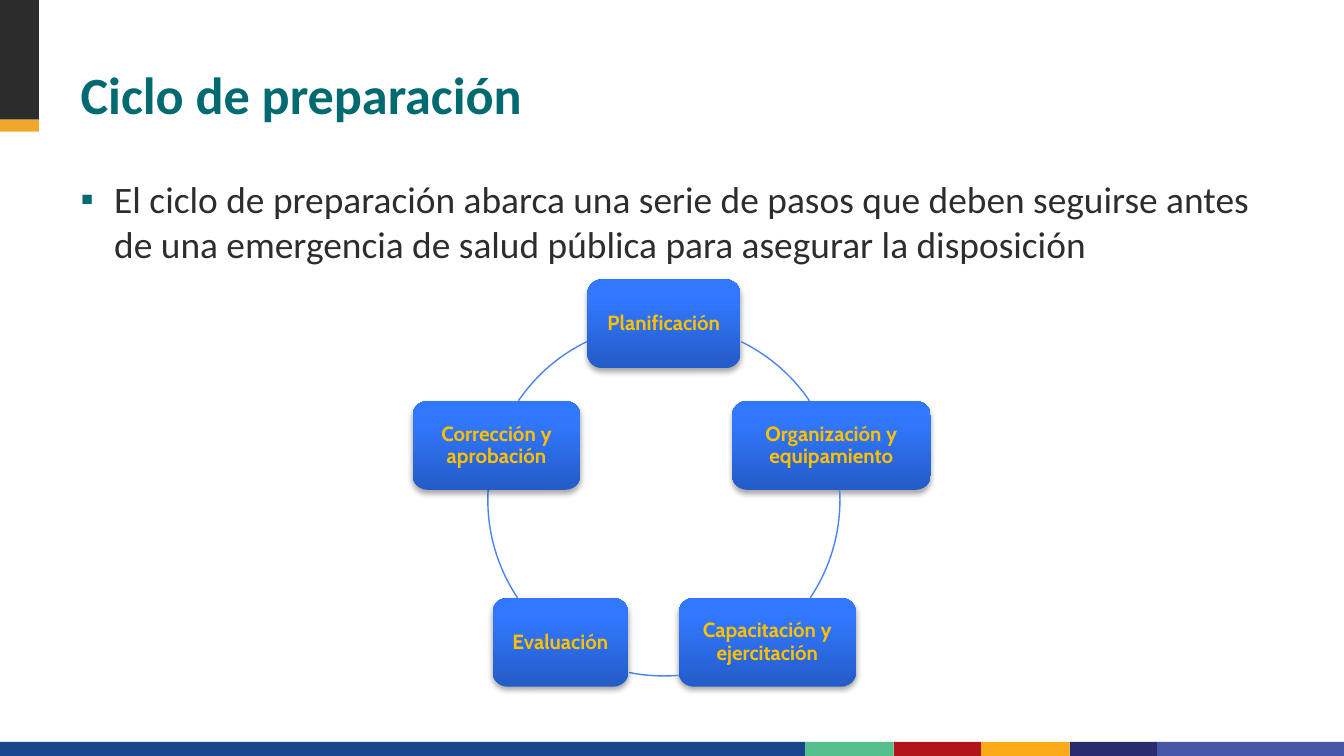
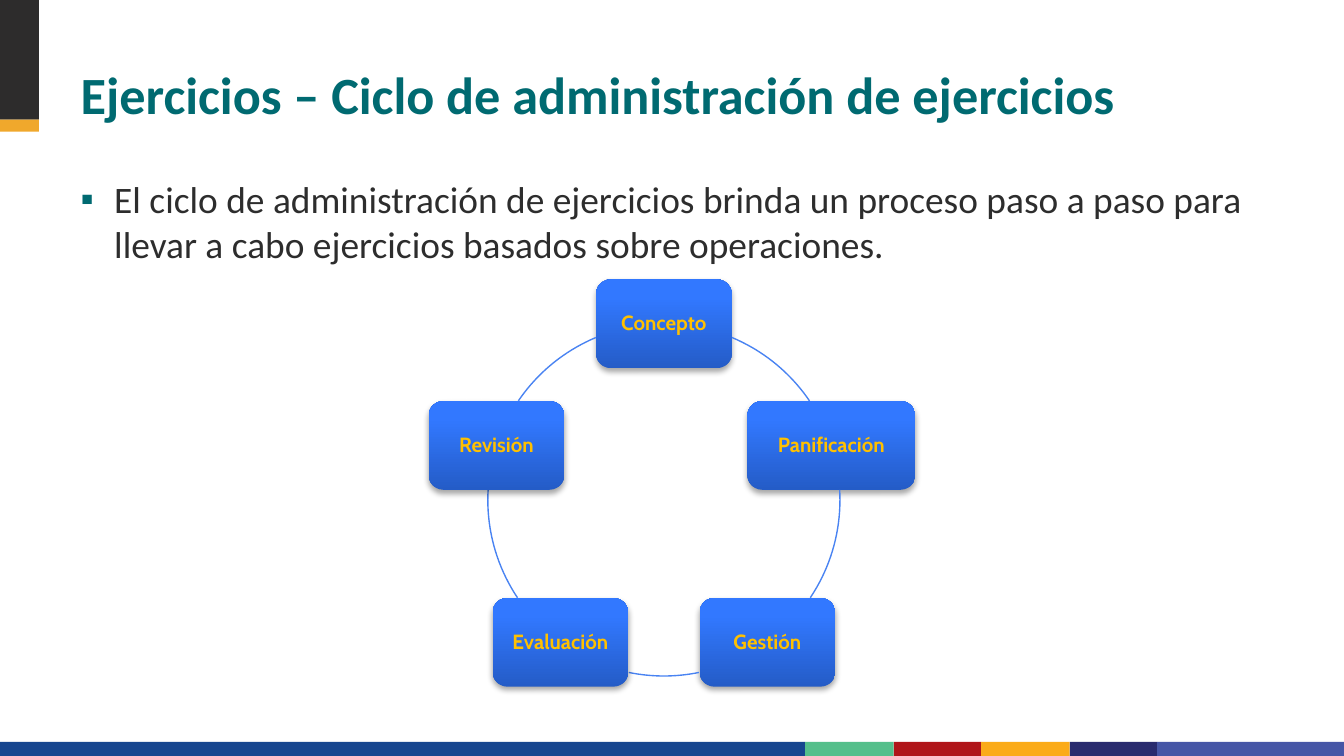
import math
from copy import deepcopy
from pptx import Presentation
from pptx.dml.color import RGBColor
from pptx.enum import shapes, text
from pptx.oxml import parse_xml
from pptx.oxml.ns import nsdecls, qn
from pptx.util import Pt

PX = 9144  # 100 px to the inch
WIDE = 1000
HIGH = WIDE * 9 / 16
TEAL, INK, GOLD, RING = "006A71", "2D2D2D", "FFC000", "4983F2"
GRAD = [(0, "245CC7"), (0.8, "3278FF"), (1, "3479FF")]
BANDS = [(0, "17468F"), (599, "55BF8B"), (665, "B01519"), (730, "FBAB18"),
         (796, "292B6E"), (861, "4656A6")]
TITLE = (50, 23, 900, 75)
CYCLE = (363, 241, 262, 262)
NODE = 66  # height of a step

SLIDES = [
    ("Ciclo de preparación",
     "El ciclo de preparación abarca una serie de pasos que deben seguirse antes "
     "de una emergencia de salud pública para asegurar la disposición",
     (50, 126, 892, 365),
     [("Planificación", 114), ("Organización y equipamiento", 148),
      ("Capacitación y ejercitación", 132), ("Evaluación", 101),
      ("Corrección y aprobación", 125)]),
    ("Ejercicios – Ciclo de administración de ejercicios",
     "El ciclo de administración de ejercicios brinda un proceso paso a paso para "
     "llevar a cabo ejercicios basados sobre operaciones.",
     (50, 126, 892, 245),
     [("Concepto", 101), ("Panificación", 125), ("Gestión", 101),
      ("Evaluación", 101), ("Revisión", 101)]),
]


def emu(box):
    return [round(v * PX) for v in box]


def rgb(code):
    return RGBColor.from_string(code)


def style(para, size, face, tint, bold=False):
    for run in para.runs:
        font = run.font
        font.size, font.name, font.bold = Pt(size), face, bold
        font.color.rgb = rgb(tint)


def place(shape, box):
    shape.left, shape.top, shape.width, shape.height = emu(box)


def rect(slide, box, tint):
    part = slide.shapes.add_shape(shapes.MSO_SHAPE.RECTANGLE, *emu(box))
    part.shadow.inherit = False
    part.fill.solid()
    part.fill.fore_color.rgb = rgb(tint)
    part.line.fill.background()


def frame(slide):
    # Colour bands along the foot
    ends = [x for x, _ in BANDS[1:]] + [WIDE]
    for (x, tint), end in zip(BANDS, ends):
        rect(slide, (x, 552, end - x, HIGH - 552), tint)
    # Corner tab
    rect(slide, (0, 0, 29, 89), "2D2C2C")
    rect(slide, (0, 89, 29, 9), "F0A82C")


def head(slide, words, box):
    title = slide.shapes.title
    place(title, box)
    body = title.text_frame
    body.text = words
    body.word_wrap = True
    body.auto_size = text.MSO_AUTO_SIZE.NONE
    body.vertical_anchor = text.MSO_ANCHOR.BOTTOM
    para = body.paragraphs[0]
    para.alignment = text.PP_ALIGN.LEFT
    para.line_spacing = Pt(30)
    style(para, 28, "Calibri", TEAL, True)


def point(slide, words, box):
    holder = slide.placeholders[1]
    place(holder, box)
    body = holder.text_frame
    body.text = words
    body.word_wrap = True
    body.auto_size = text.MSO_AUTO_SIZE.NONE
    para = body.paragraphs[0]
    # Square bullet with a hanging indent
    props = para._p.get_or_add_pPr()
    props.set("marL", str(25 * PX))
    props.set("indent", str(-25 * PX))
    props.append(parse_xml(f'<a:buClr {nsdecls("a")}><a:srgbClr val="{TEAL}"/></a:buClr>'))
    props.append(parse_xml(f'<a:buChar {nsdecls("a")} char="▪"/>'))
    para.space_before = Pt(0)
    style(para, 20, "Calibri", INK)


def step(slide, words, box):
    node = slide.shapes.add_shape(shapes.MSO_SHAPE.ROUNDED_RECTANGLE, *emu(box))
    node.line.fill.background()
    # Three-stop gradient, dark at the foot
    node.fill.gradient()
    node.fill.gradient_angle = 90
    stops = node.element.spPr.find(".//" + qn("a:gsLst"))
    stops.append(deepcopy(stops[-1]))
    for stop, (spot, tint) in zip(node.fill.gradient_stops, GRAD):
        stop.position = spot
        stop.color.rgb = rgb(tint)
    # Soft shadow below
    node.shadow.inherit = False
    node.element.spPr.find(qn("a:effectLst")).append(parse_xml(
        f'<a:outerShdw {nsdecls("a")} blurRad="40000" dist="23000" dir="5400000" '
        'rotWithShape="0"><a:srgbClr val="000000"><a:alpha val="35000"/>'
        '</a:srgbClr></a:outerShdw>'))
    # Label
    body = node.text_frame
    body.text = words
    body.word_wrap = True
    body.vertical_anchor = text.MSO_ANCHOR.MIDDLE
    body.margin_left = body.margin_right = 8 * PX
    body.margin_top = body.margin_bottom = 8 * PX
    para = body.paragraphs[0]
    para.alignment = text.PP_ALIGN.CENTER
    para.line_spacing = 0.9
    style(para, 11, "Cabin", GOLD, True)


def arc(slide, box, start, end):
    curve = slide.shapes.add_shape(shapes.MSO_SHAPE.ARC, *emu(box))
    curve.shadow.inherit = False
    curve.fill.background()
    curve.line.color.rgb = rgb(RING)
    curve.line.width = Pt(0.75)
    # 60000 units to the degree, as a share of 100000
    for i, deg in enumerate((start, end)):
        curve.adjustments[i] = deg % 360 * 0.6


def cycle(slide, steps, box):
    left, top, size, _ = box
    rad = size / 2
    turn = 360 / len(steps)

    def spot(deg):
        a = math.radians(deg)
        return left + rad + rad * math.cos(a), top + rad + rad * math.sin(a)

    def inside(deg, node):
        x, y = spot(deg)
        nx, ny, w, h = node
        return nx <= x <= nx + w and ny <= y <= ny + h

    nodes = []
    for i, (_, w) in enumerate(steps):
        x, y = spot(i * turn - 90)
        nodes.append((x - w / 2, y - NODE / 2, w, NODE))
    for i, (words, _) in enumerate(steps):
        step(slide, words, nodes[i])
        # Visible part of the ring up to the next step
        pair = nodes[i], nodes[(i + 1) % len(nodes)]
        first = i * turn - 90
        degs = [first + d / 4 for d in range(int(turn * 4) + 1)]
        free = [d for d in degs if not any(inside(d, n) for n in pair)]
        arc(slide, box, free[0], free[-1])


def main():
    deck = Presentation()
    deck.slide_width, deck.slide_height = emu((WIDE, HIGH))
    for title, words, box, steps in SLIDES:
        slide = deck.slides.add_slide(deck.slide_layouts[1])
        frame(slide)
        head(slide, title, TITLE)
        point(slide, words, box)
        cycle(slide, steps, CYCLE)
    deck.save("out.pptx")


if __name__ == "__main__":
    main()
